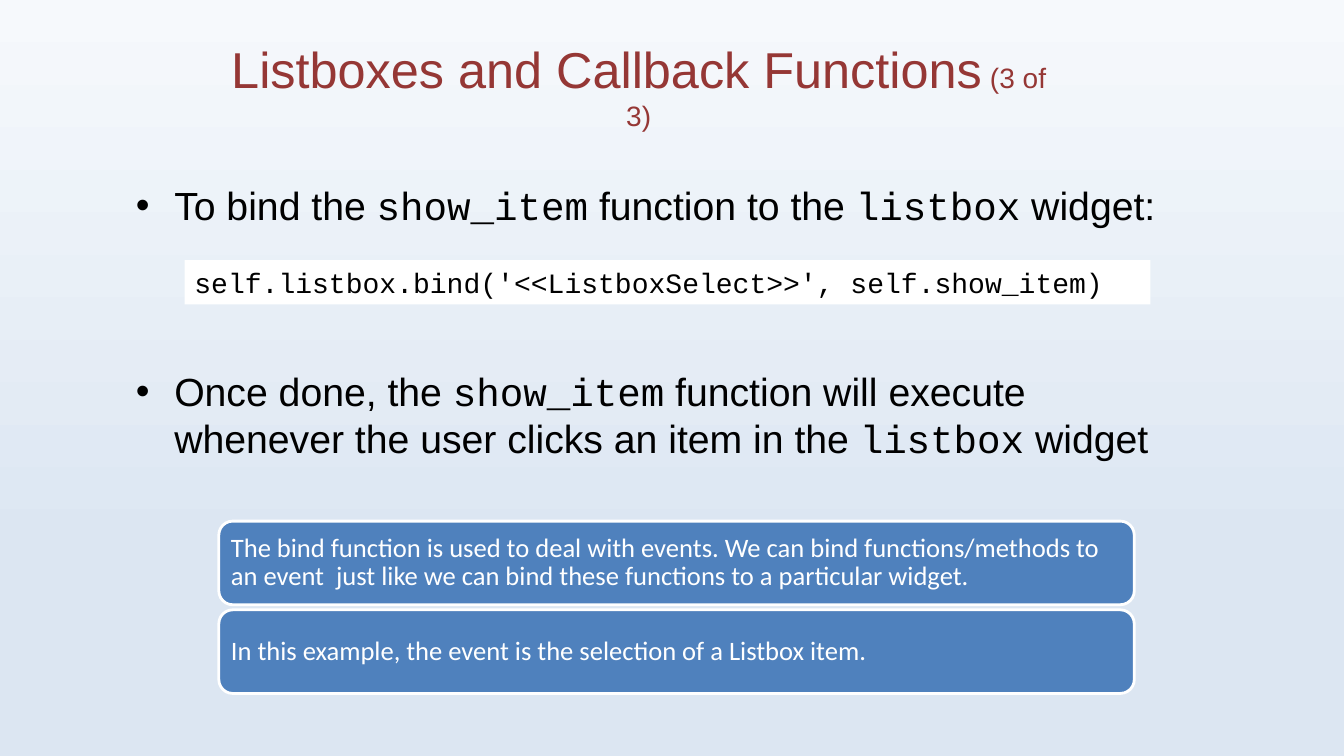
"""Build the slide on listboxes and callback functions."""
from lxml import etree
from pptx import Presentation
from pptx.dml.color import RGBColor
from pptx.enum.shapes import MSO_SHAPE
from pptx.enum.text import MSO_ANCHOR, PP_ALIGN
from pptx.oxml.ns import qn
from pptx.util import Inches, Pt

RECTANGLE, ROUNDED = MSO_SHAPE.RECTANGLE, MSO_SHAPE.ROUNDED_RECTANGLE
MIDDLE, LEFT, CENTER = MSO_ANCHOR.MIDDLE, PP_ALIGN.LEFT, PP_ALIGN.CENTER

SKY_TOP = RGBColor(0xF6, 0xF9, 0xFC)
SKY_BOTTOM = RGBColor(0xDC, 0xE6, 0xF2)
MAROON = RGBColor(0x95, 0x37, 0x35)
BLUE = RGBColor(0x4F, 0x81, 0xBD)
BLACK = RGBColor(0, 0, 0)
WHITE = RGBColor(0xFF, 0xFF, 0xFF)

BULLETS = [
    ["To bind the ", "show_item", " function to the ", "listbox", " widget:"],
    ["Once done, the ", "show_item",
     " function will execute whenever the user clicks an item in the ",
     "listbox", " widget"],
]
CARDS = [
    "The bind function is used to deal with events. We can bind functions/methods to "
    "an event  just like we can bind these functions to a particular widget.",
    "In this example, the event is the selection of a Listbox item.",
]


def set_font(font, name, size, color):
    font.name = name
    font.size = Pt(size)
    font.color.rgb = color


def add_panel(page, kind, left, top, width, height, fill):
    panel = page.shapes.add_shape(
        kind, Inches(left), Inches(top), Inches(width), Inches(height))
    panel.shadow.inherit = False
    panel.fill.solid()
    panel.fill.fore_color.rgb = fill
    panel.text_frame.word_wrap = True
    panel.text_frame.paragraphs[0].alignment = LEFT
    return panel


deck = Presentation()
deck.slide_width, deck.slide_height = Inches(13.33), Inches(7.5)
page = deck.slides.add_slide(deck.slide_layouts[6])

backdrop = page.background.fill
backdrop.gradient()
backdrop.gradient_angle = 270
for stop, position, color in zip(backdrop.gradient_stops, (0, 0.73), (SKY_TOP, SKY_BOTTOM)):
    stop.position = position
    stop.color.rgb = color

title = page.shapes.add_textbox(Inches(2.17), Inches(0.24), Inches(8.33), Inches(1.2))
title.text_frame.word_wrap = True
title.text_frame.vertical_anchor = MIDDLE
para = title.text_frame.paragraphs[0]
para.alignment = CENTER
for text, size in (("Listboxes and Callback Functions", 36), (" (3 of 3)", 20)):
    span = para.add_run()
    span.text = text
    set_font(span.font, "Arial", size, MAROON)

body = page.shapes.add_textbox(Inches(1.25), Inches(1.75), Inches(10.75), Inches(3.92))
frame = body.text_frame
frame.word_wrap = True
for index, pieces in enumerate(BULLETS):
    para = frame.add_paragraph() if index else frame.paragraphs[0]
    para.space_before = Pt(4)
    para.space_after = Pt(12 if index else 95)
    properties = para._p.get_or_add_pPr()
    properties.set("marL", str(Inches(0.38)))
    properties.set("indent", str(-Inches(0.38)))
    etree.SubElement(properties, qn("a:buFont"), typeface="Arial")
    etree.SubElement(properties, qn("a:buChar"), char="•")
    for order, text in enumerate(pieces):
        span = para.add_run()
        span.text = text
        set_font(span.font, "Courier New" if order % 2 else "Arial", 28, BLACK)

code = add_panel(page, RECTANGLE, 1.83, 2.58, 9.58, 0.44, WHITE)
code.line.fill.background()
para = code.text_frame.paragraphs[0]
para.text = "self.listbox.bind('<<ListboxSelect>>', self.show_item)"
set_font(para.font, "Courier New", 20, BLACK)

for index, text in enumerate(CARDS):
    card = add_panel(page, ROUNDED, 2.17, 5.17 + 0.88 * index, 9.08, 0.83, BLUE)
    card.line.color.rgb = WHITE
    card.line.width = Pt(2)
    frame = card.text_frame
    frame.vertical_anchor = MIDDLE
    frame.margin_left = frame.margin_right = Inches(0.08)
    para = frame.paragraphs[0]
    para.text = text
    para.line_spacing = 0.9
    set_font(para.font, "Calibri", 19, WHITE)

deck.save("out.pptx")
